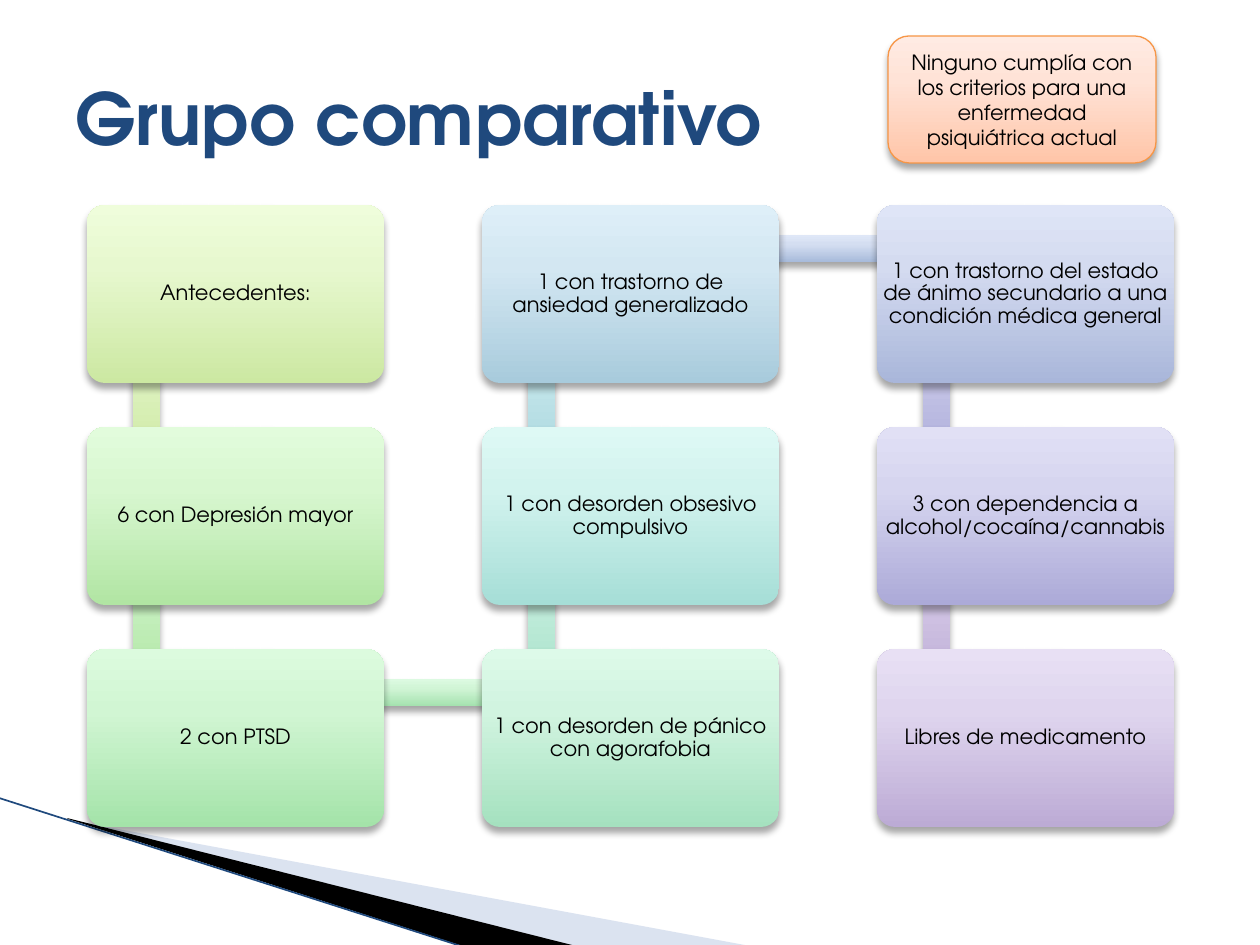
import copy

import pptx
import pptx.dml.color
import pptx.enum.shapes
import pptx.enum.text
import pptx.oxml
import pptx.oxml.ns
import pptx.util

RGB = pptx.dml.color.RGBColor
SHAPE = pptx.enum.shapes.MSO_SHAPE
ALIGN = pptx.enum.text.PP_ALIGN
MIDDLE = pptx.enum.text.MSO_ANCHOR.MIDDLE
qn = pptx.oxml.ns.qn

PX = 914400 / 126
FONT = "TeX Gyre Adventor"
NAVY = RGB(0x1F, 0x49, 0x7D)
BLACK = RGB(0x00, 0x00, 0x00)
MIST = RGB(0xA7, 0xB9, 0xDB)
ORANGE = RGB(0xF7, 0x96, 0x46)

# Gradients from the bottom up
STOPS = (0, 0.65, 1)


def shades(*codes):
    return [RGB.from_string(code) for code in codes]


PEACH = shades("FFC5A8", "FFE3D7", "FFEBE3")
LIME = shades("CCE8A2", "E7F8CF", "EFFDDB")
LILAC = shades("BCABD5", "DFD5EE", "E8E0F4")

# Grid of boxes
LEFT, TOP = 87, 205
STEP_X, STEP_Y = 395, 222
WIDE, HIGH = 297, 178
BAR = 27

# Text, (column, row), box shades, shades of the bar to the next box
STEPS = [
    ("Antecedentes:", (0, 0), LIME, LIME),
    ("6 con Depresión mayor", (0, 1),
     shades("B1E5A3", "D8F7D0", "E2FCDC"),
     shades("AEE5A3", "D6F7D0", "E1FCDC")),
    ("2 con PTSD", (0, 2),
     shades("A4E3A9", "D1F6D3", "DCFBDE"),
     shades("A5E2AF", "D1F5D6", "DCFAE1")),
    ("1 con desorden de pánico con agorafobia", (1, 2),
     shades("A5E1BF", "D1F4E0", "DDFAE9"),
     shades("A6E0C9", "D2F4E6", "DDF9EE")),
    ("1 con desorden obsesivo compulsivo", (1, 1),
     shades("A6DED7", "D2F3EE", "DEF9F5"),
     shades("A7D6DD", "D3EEF2", "DEF4F8")),
    ("1 con trastorno de ansiedad generalizado", (1, 0),
     shades("A8CBDC", "D3E7F2", "DEEFF8"),
     shades("A8BBDB", "D4DEF1", "DFE7F7")),
    ("1 con trastorno del estado de ánimo secundario a una condición "
     "médica general", (2, 0),
     shades("A9B6DA", "D4DBF0", "DFE5F7"),
     shades("AAAAD8", "D5D4EF", "E0E0F6")),
    ("3 con dependencia a alcohol/cocaína/cannabis", (2, 1),
     shades("ACAAD8", "D6D5EF", "E1E0F5"), LILAC),
    ("Libres de medicamento", (2, 2), LILAC, None),
]


def px(num):
    return pptx.util.Emu(round(num * PX))


def write(frame, text, size, color, align, bold=False):
    frame.text = text
    frame.word_wrap = True
    frame.auto_size = pptx.enum.text.MSO_AUTO_SIZE.NONE
    frame.vertical_anchor = MIDDLE
    para = frame.paragraphs[0]
    para.alignment = align
    font = para.runs[0].font
    font.name, font.size, font.bold = FONT, pptx.util.Pt(size), bold
    font.color.rgb = color


def blend(shape, tones):
    fill = shape.fill
    fill.gradient()
    fill.gradient_angle = 90
    stops = shape._element.spPr.find(qn("a:gradFill")).find(qn("a:gsLst"))
    stops.append(copy.deepcopy(stops[-1]))
    for stop, place, tone in zip(fill.gradient_stops, STOPS, tones):
        stop.position = place
        stop.color.rgb = tone


def shade(shape):
    shape.shadow.inherit = False
    glow = shape._element.spPr.find(qn("a:effectLst"))
    glow.append(pptx.oxml.parse_xml(
        f'<a:outerShdw {pptx.oxml.ns.nsdecls("a")} blurRad="50800" '
        'dist="38100" dir="5400000" rotWithShape="0">'
        '<a:srgbClr val="000000"><a:alpha val="35000"/></a:srgbClr>'
        '</a:outerShdw>'))


def add_block(slide, kind, area, tones):
    shape = slide.shapes.add_shape(kind, *map(px, area))
    blend(shape, tones)
    shade(shape)
    shape.line.fill.background()
    return shape


def add_bar(slide, start, end, tones):
    col, row = start
    if col == end[0]:
        row = min(row, end[1])
        area = (46, 44, BAR, STEP_Y)
    else:
        area = (60, 30, STEP_X - 2, BAR)
    x, y, wide, high = area
    add_block(slide, SHAPE.RECTANGLE,
              (LEFT + col * STEP_X + x, TOP + row * STEP_Y + y, wide, high),
              tones)


def add_box(slide, text, spot, tones):
    col, row = spot
    area = (LEFT + col * STEP_X, TOP + row * STEP_Y, WIDE, HIGH)
    box = add_block(slide, SHAPE.ROUNDED_RECTANGLE, area, tones)
    box.adjustments[0] = 0.1
    frame = box.text_frame
    # The round corners already inset the text
    frame.margin_left = frame.margin_right = px(1)
    frame.margin_top = frame.margin_bottom = px(1)
    write(frame, text, 12, BLACK, ALIGN.CENTER)
    frame.paragraphs[0].line_spacing = 0.9


def add_wedge(slide, points, color, alpha=None):
    pen = slide.shapes.build_freeform(*points[0], scale=PX)
    pen.add_line_segments(points[1:], close=True)
    wedge = pen.convert_to_shape()
    wedge.shadow.inherit = False
    wedge.fill.solid()
    wedge.fill.fore_color.rgb = color
    wedge.line.fill.background()
    if alpha:
        tone = wedge._element.spPr.find(qn("a:solidFill"))[0]
        tone.append(pptx.oxml.parse_xml(
            f'<a:alpha {pptx.oxml.ns.nsdecls("a")} val="{alpha * 1000}"/>'))


def add_edge(slide, start, end):
    edge = slide.shapes.add_connector(
        pptx.enum.shapes.MSO_CONNECTOR.STRAIGHT, *map(px, start + end))
    edge.line.color.rgb = NAVY
    edge.line.width = pptx.util.Pt(0.95)
    edge._element.spPr.append(pptx.oxml.parse_xml(
        f'<a:effectLst {pptx.oxml.ns.nsdecls("a")}/>'))


def main():
    deck = pptx.Presentation()
    deck.slide_width, deck.slide_height = px(1260), px(945)
    slide = deck.slides.add_slide(deck.slide_layouts[5])

    # Title
    title = slide.shapes.title
    title.left, title.top, title.width, title.height = map(
        px, (63, 38, 1134, 158))
    write(title.text_frame, "Grupo comparativo", 41, NAVY, ALIGN.LEFT, True)

    # Corner wedges
    add_wedge(slide, [(69, 820), (750, 946), (575, 946), (69, 819)], MIST, 40)
    add_wedge(slide, [(67, 818), (576, 946), (469, 948), (68, 819)], BLACK)
    add_edge(slide, (-1, 798), (467, 948))

    # Winding chain of boxes, each bar behind its boxes
    spots = [step[1] for step in STEPS[1:]] + [None]
    for (text, spot, tones, link), after in zip(STEPS, spots):
        if after:
            add_bar(slide, spot, after, link)
        add_box(slide, text, spot, tones)

    # Note at top right
    note = add_block(slide, SHAPE.ROUNDED_RECTANGLE, (888, 36, 268, 127),
                     PEACH)
    note.line.color.rgb = ORANGE
    note.line.width = pptx.util.Pt(0.75)
    write(note.text_frame, "Ninguno cumplía con los criterios para una "
          "enfermedad psiquiátrica actual", 12, BLACK, ALIGN.CENTER)

    deck.save("out.pptx")


if __name__ == "__main__":
    main()
